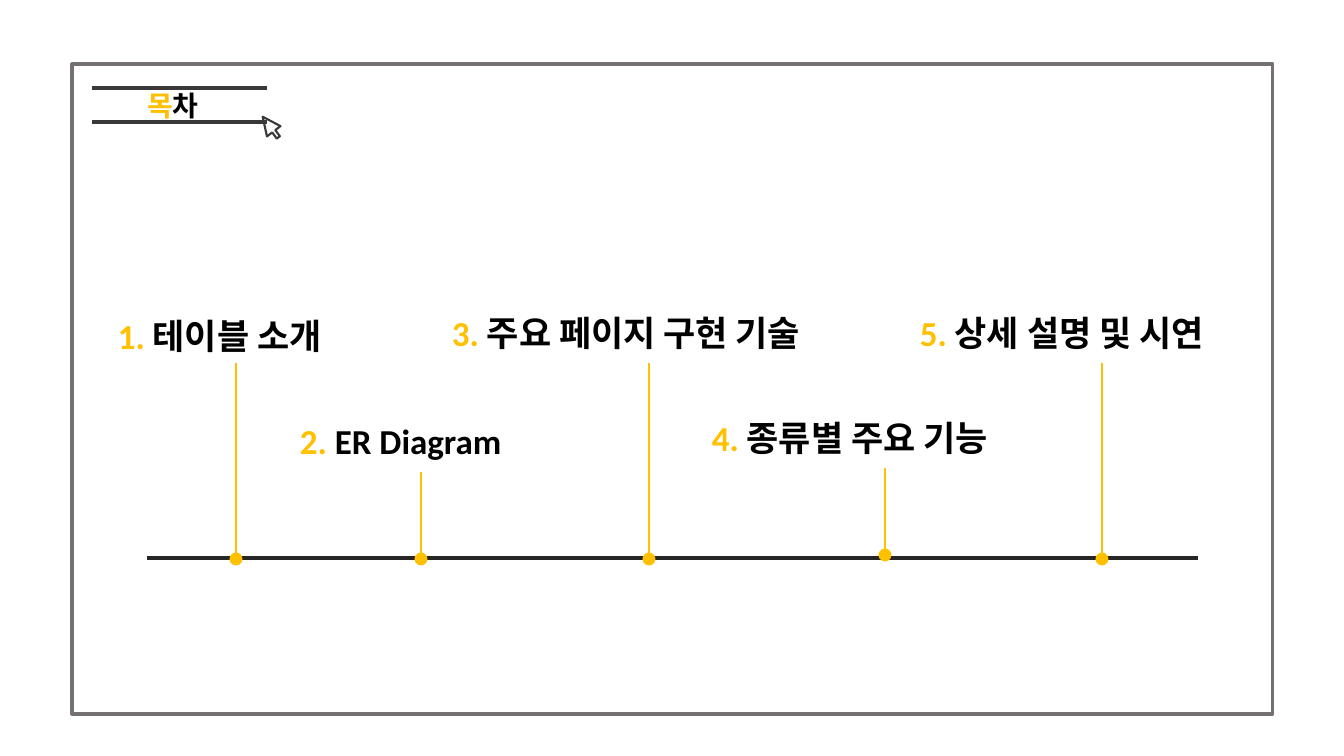
from lxml import etree
from pptx import Presentation
from pptx.dml.color import RGBColor
from pptx.enum.shapes import MSO_CONNECTOR, MSO_SHAPE
from pptx.enum.text import MSO_AUTO_SIZE, PP_ALIGN
from pptx.oxml.ns import qn
from pptx.util import Emu, Pt

EMU_PER_PX = 914400 / 100.8
FONT = "Calibri"
WHITE = RGBColor(0xFF, 0xFF, 0xFF)
BLACK = RGBColor(0x00, 0x00, 0x00)
GOLD = RGBColor(0xFF, 0xC0, 0x00)
FRAME_GRAY = RGBColor(0x76, 0x71, 0x71)
AXIS_GRAY = RGBColor(0x26, 0x26, 0x26)
TITLE_GRAY = RGBColor(0x3B, 0x38, 0x38)
CURSOR_FILL = RGBColor(0xFB, 0xFB, 0xFB)

DOT = 13
STEM_OVERRUN = 5
LABEL_HEIGHT = 52

# label text, label left, label top, label width, stem x, stem top, dot y
TOPICS = [
    ("테이블 소개", 108, 310, 251, 236, 363, 559),
    ("ER Diagram", 290, 415, 306, 421, 472, 559),
    ("주요 페이지 구현 기술", 442, 307, 423, 649, 363, 559),
    ("종류별 주요 기능", 702, 412, 346, 885, 468, 555),
    ("상세 설명 및 시연", 910, 307, 384, 1102, 363, 559),
]


def px(length):
    return Emu(round(length * EMU_PER_PX))


def add_shape(shapes, kind, box, fill=None, line=None, width=1):
    shape = shapes.add_shape(kind, *map(px, box))
    shape.shadow.inherit = False
    if fill is None:
        shape.fill.background()
    else:
        shape.fill.solid()
        shape.fill.fore_color.rgb = fill
    if line is None:
        shape.line.fill.background()
    else:
        shape.line.color.rgb = line
        shape.line.width = Pt(width)
    return shape


def add_line(shapes, start, end, color, width):
    line = shapes.add_connector(MSO_CONNECTOR.STRAIGHT, *map(px, start + end))
    line.line.color.rgb = color
    line.line.width = Pt(width)
    etree.SubElement(line._element.spPr, qn("a:effectLst"))


def add_text(shapes, box, runs, size, align=PP_ALIGN.LEFT):
    frame = shapes.add_textbox(*map(px, box)).text_frame
    frame.word_wrap = True
    frame.auto_size = MSO_AUTO_SIZE.SHAPE_TO_FIT_TEXT
    paragraph = frame.paragraphs[0]
    paragraph.alignment = align
    for text, color in runs:
        run = paragraph.add_run()
        run.text = text
        run.font.name = FONT
        run.font.size = Pt(size)
        run.font.bold = True
        run.font.color.rgb = color


def add_marker(shapes, x, stem_top, dot_y):
    marker = shapes.add_group_shape().shapes
    dot_box = (x - DOT / 2, dot_y - DOT / 2, DOT, DOT)
    add_shape(marker, MSO_SHAPE.OVAL, dot_box, fill=GOLD)
    add_line(marker, (x, stem_top), (x, dot_y + STEM_OVERRUN), GOLD, 1.5)


def add_timeline(shapes, left, top, width):
    add_line(shapes, (left, top), (left + width, top), AXIS_GRAY, 2.25)
    for number, topic in enumerate(TOPICS, 1):
        text, label_left, label_top, label_width, x, stem_top, dot_y = topic
        add_marker(shapes, x, stem_top, dot_y)
        label_box = (label_left, label_top, label_width, LABEL_HEIGHT)
        add_text(shapes, label_box, [(f"{number}. ", GOLD), (text, BLACK)], 25)


def add_title(shapes, left, top, width, height):
    right, bottom = left + width, top + height
    add_text(shapes, (left - 10, top - 4, width + 7, 44),
             [("목", GOLD), ("차", BLACK)], 20, PP_ALIGN.CENTER)
    cursor = add_shape(shapes, MSO_SHAPE.UP_ARROW, (right - 5, bottom - 8, 17, 26),
                       CURSOR_FILL, TITLE_GRAY, 1.5)
    cursor.adjustments[0] = 0.23
    cursor.adjustments[1] = 1.08
    cursor.rotation = 322.8
    for y in (bottom, top):
        add_line(shapes, (left, y), (right, y), TITLE_GRAY, 3)


def main():
    presentation = Presentation()
    presentation.slide_width = px(1344)
    presentation.slide_height = px(756)
    slide = presentation.slides.add_slide(presentation.slide_layouts[6])
    slide.background.fill.solid()
    slide.background.fill.fore_color.rgb = WHITE
    add_shape(slide.shapes, MSO_SHAPE.RECTANGLE, (72, 64, 1201, 650),
              line=FRAME_GRAY, width=2.25)
    add_timeline(slide.shapes, 147, 558, 1051)
    add_title(slide.shapes, 92, 88, 175, 34)
    presentation.save("out.pptx")


if __name__ == "__main__":
    main()
